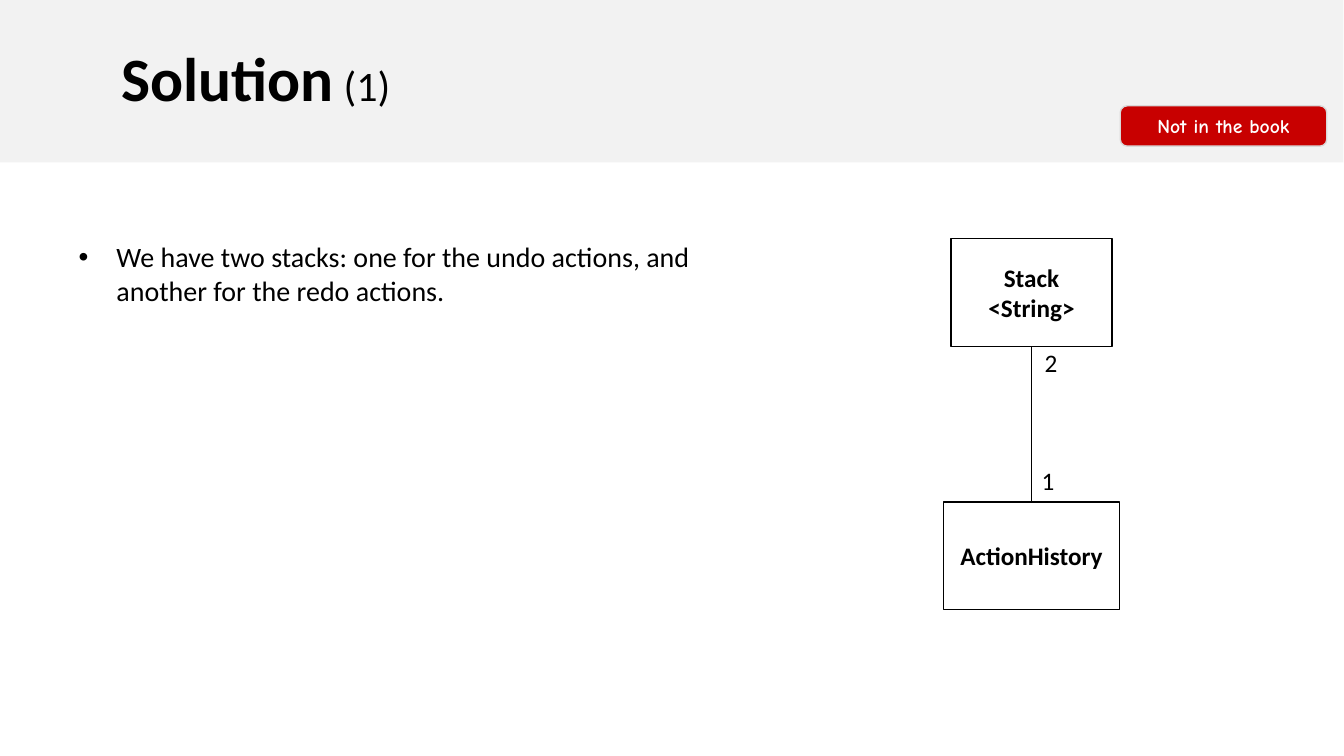
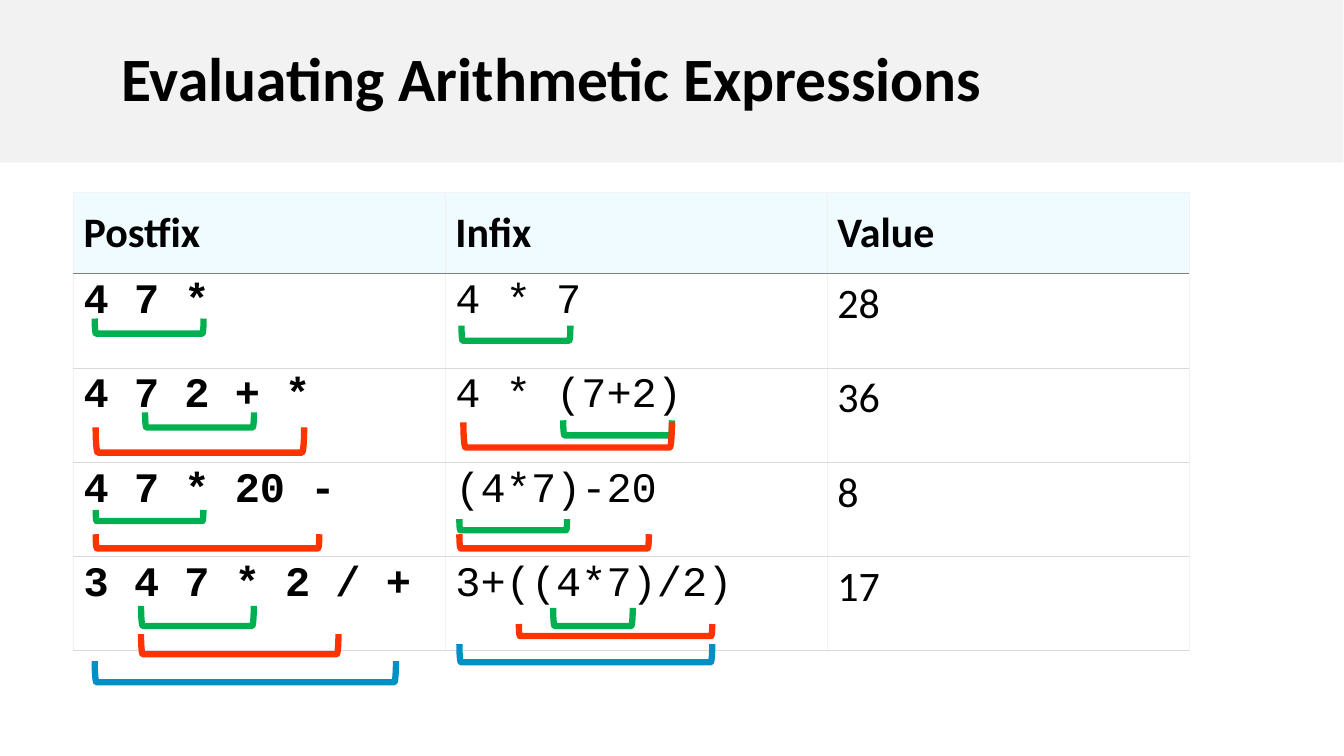
from lxml import etree
from pptx import Presentation
from pptx import util as u
from pptx.dml import color as c
from pptx.enum import shapes, text
from pptx.oxml import ns

Pt = u.Pt
BLACK, WHITE = "000000", "FFFFFF"
BAND, RULE, HEADER_RULE = "F2F2F2", "D9D9D9", "7F7F7F"
GREEN, ORANGE, BLUE = "00B050", "FF3300", "0091C4"
LEFT, CENTER = text.PP_ALIGN.LEFT, text.PP_ALIGN.CENTER
MIDDLE = text.MSO_ANCHOR.MIDDLE


def colour(code):
    return c.RGBColor.from_string(code)


def write(para, words, size=18, font="Calibri", fill=BLACK, bold=False, align=LEFT):
    span = para.add_run()
    span.text = words
    span.font.size = Pt(size)
    span.font.name = font
    span.font.bold = bold
    span.font.color.rgb = colour(fill)
    para.alignment = align


deck = Presentation()
deck.slide_width, deck.slide_height = Pt(960.5), Pt(540)
solution = deck.slides.add_slide(deck.slide_layouts[1])
evaluation = deck.slides.add_slide(deck.slide_layouts[5])

# Title band shared by both slides
for page, heading, suffix in [(solution, "Solution", " (1)"),
                              (evaluation, "Evaluating Arithmetic Expressions", "")]:
    title = page.shapes.title
    title.left, title.top, title.width, title.height = Pt(0), Pt(0), Pt(960), Pt(116)
    title.fill.solid()
    title.fill.fore_color.rgb = colour(BAND)
    frame = title.text_frame
    frame.auto_size = text.MSO_AUTO_SIZE.NONE
    frame.vertical_anchor = MIDDLE
    frame.margin_left = Pt(86.8)
    para = frame.paragraphs[0]
    para.line_spacing = 0.9
    write(para, heading, size=44, bold=True)
    if suffix:
        write(para, suffix, size=30)

# Solution: bullet
body = solution.placeholders[1]
body.left, body.top, body.width, body.height = Pt(49), Pt(167.8), Pt(480), Pt(79)
body.text_frame.auto_size = text.MSO_AUTO_SIZE.NONE
para = body.text_frame.paragraphs[0]
para.space_before = Pt(0)
write(para, "We have two stacks: one for the undo actions, and another for the redo actions.",
      size=20)

# Solution: badge and class boxes
boxes = []
for kind, left, top, width, height, fill, line, lines, style in [
    (shapes.MSO_SHAPE.ROUNDED_RECTANGLE, 800.6, 75.6, 147.6, 28.8, "C80000", RULE,
     ["Not in the book"], {"size": 14, "font": "Comic Neue", "fill": WHITE}),
    (shapes.MSO_SHAPE.RECTANGLE, 679.6, 170.6, 115.2, 77, WHITE, BLACK,
     ["Stack", "<String>"], {}),
    (shapes.MSO_SHAPE.RECTANGLE, 674.2, 358.6, 126, 77, WHITE, BLACK,
     ["ActionHistory"], {}),
]:
    box = solution.shapes.add_shape(kind, Pt(left), Pt(top), Pt(width), Pt(height))
    box.shadow.inherit = False
    box.fill.solid()
    box.fill.fore_color.rgb = colour(fill)
    box.line.color.rgb = colour(line)
    box.line.width = Pt(1)
    frame = box.text_frame
    frame.word_wrap = True
    frame.vertical_anchor = MIDDLE
    for number, words in enumerate(lines):
        para = frame.add_paragraph() if number else frame.paragraphs[0]
        write(para, words, bold=True, align=CENTER, **style)
    boxes.append(box)
badge, stack, history = boxes

# Solution: association with its multiplicities
association = solution.shapes.add_connector(shapes.MSO_CONNECTOR.STRAIGHT,
                                            Pt(737.2), Pt(247.6), Pt(737.2), Pt(358.6))
association.begin_connect(stack, 2)
association.end_connect(history, 0)
association.line.color.rgb = colour(BLACK)
association.line.width = Pt(0.5)
etree.SubElement(association._element.spPr, ns.qn("a:effectLst"))

for words, left, top in [("1", 737.3, 329), ("2", 739.4, 244.8)]:
    label = solution.shapes.add_textbox(Pt(left), Pt(top), Pt(23), Pt(28.8))
    label.text_frame.word_wrap = False
    write(label.text_frame.paragraphs[0], words)

# Evaluation: table
rows = [
    ("Postfix", "Infix", "Value"),
    ("4 7 *", "4 * 7", "28"),
    ("4 7 2 + *", "4 * (7+2)", "36"),
    ("4 7 * 20 -", "(4*7)-20", "8"),
    ("3 4 7 * 2 / +", "3+((4*7)/2)", "17"),
]
widths = [265.7, 272.9, 258.4]
heights = [58] + [67.3] * 4
table = evaluation.shapes.add_table(len(rows), len(widths), Pt(52.6), Pt(137.5),
                                    Pt(sum(widths)), Pt(sum(heights))).table
table.first_row = table.horz_banding = False
for column, width in zip(table.columns, widths):
    column.width = Pt(width)
for row, height in zip(table.rows, heights):
    row.height = Pt(height)

for r, row in enumerate(rows):
    header = r == 0
    above = BAND if header else HEADER_RULE if r == 1 else RULE
    below = HEADER_RULE if header else RULE
    for k, words in enumerate(row):
        cell = table.cell(r, k)
        cell.fill.solid()
        cell.fill.fore_color.rgb = colour("EFFBFF" if header else WHITE)
        cell.vertical_anchor = MIDDLE if header else text.MSO_ANCHOR.TOP
        write(cell.text_frame.paragraphs[0], words, size=30, bold=header or k == 0,
              font="Calibri" if header or k == 2 else "Courier New")
        # Borders precede the fill in the cell properties
        edges = [("a:lnL", BAND), ("a:lnR", BAND), ("a:lnT", above), ("a:lnB", below)]
        for place, (tag, code) in enumerate(edges):
            edge = etree.Element(ns.qn(tag), w=str(Pt(0.45)))
            solid = etree.SubElement(edge, ns.qn("a:solidFill"))
            etree.SubElement(solid, ns.qn("a:srgbClr"), val=code)
            cell._tc.get_or_add_tcPr().insert(place, edge)

# Evaluation: brackets under the operands (left, top, width, depth)
brackets = [
    # Postfix column
    (67.7, 227.5, 77.8, 10.8, GREEN),
    (103.7, 294.5, 77.8, 10.8, GREEN),
    (68.4, 305.3, 149, 18, ORANGE),
    (68.4, 364.3, 77, 7.9, GREEN),
    (68.4, 381.6, 159.8, 10.1, ORANGE),
    (100.8, 432.7, 80.6, 14.4, GREEN),
    (100.8, 452.9, 141.1, 14.4, ORANGE),
    (67.7, 472.3, 215.3, 15.1, BLUE),
    # Infix column
    (329.8, 232.6, 77.8, 10.8, GREEN),
    (402.5, 300.2, 77.8, 10.8, GREEN),
    (331.2, 301.7, 149, 18, ORANGE),
    (328.3, 370.8, 77, 7.9, GREEN),
    (328.3, 381.6, 135.4, 10.1, ORANGE),
    (395.3, 434.2, 56.9, 13, GREEN),
    (370.8, 445.7, 138.2, 8.6, ORANGE),
    (328.3, 460.1, 180.7, 13, BLUE),
]
for left, top, width, depth, code in brackets:
    # A quarter turn swaps width and depth around the same centre
    shift = (width - depth) / 2
    bracket = evaluation.shapes.add_shape(shapes.MSO_SHAPE.LEFT_BRACKET, Pt(left + shift),
                                          Pt(top - shift), Pt(depth), Pt(width))
    bracket.rotation = 270
    bracket.shadow.inherit = False
    bracket.fill.background()
    bracket.line.color.rgb = colour(code)
    bracket.line.width = Pt(4.5)

deck.save("out.pptx")
